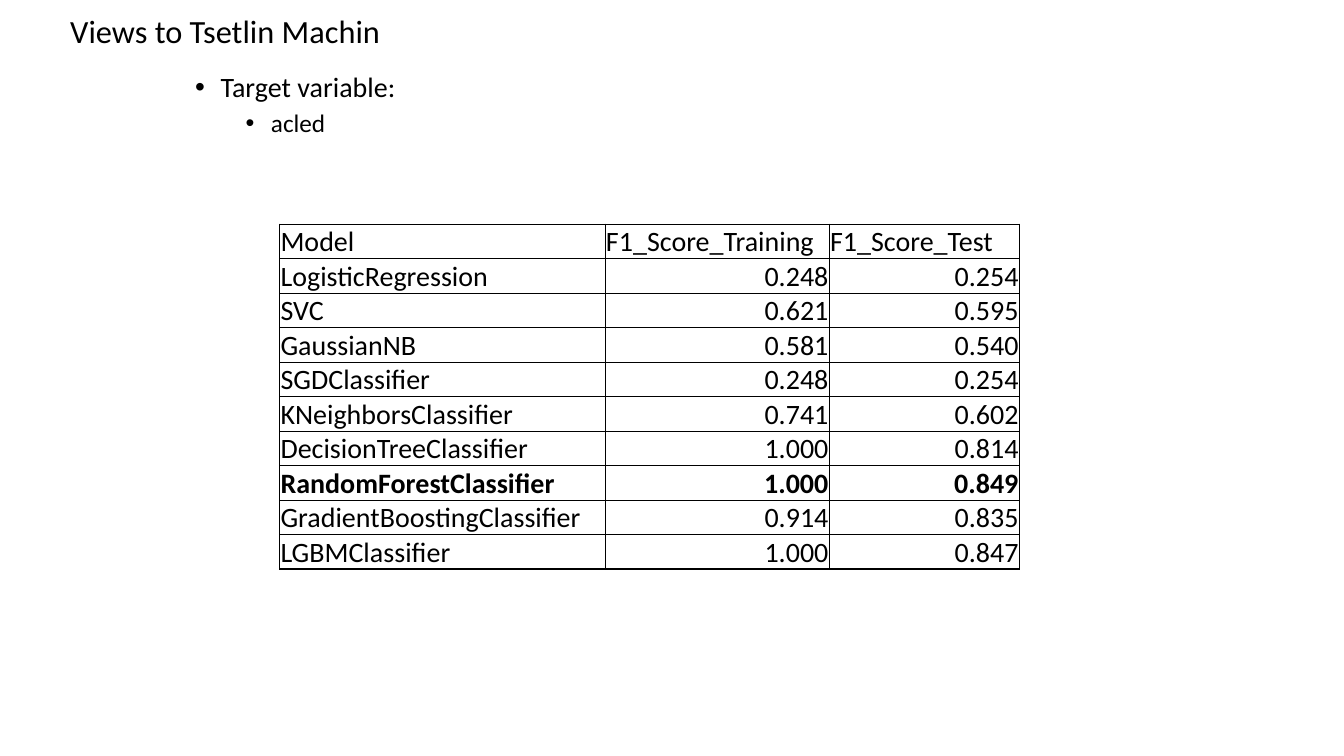
from dataclasses import dataclass

from lxml import etree
from pptx import Presentation
from pptx.dml.color import RGBColor
from pptx.enum.text import MSO_ANCHOR, PP_ALIGN
from pptx.oxml.ns import qn
from pptx.util import Cm, Pt

MIDDLE, BOTTOM = MSO_ANCHOR.MIDDLE, MSO_ANCHOR.BOTTOM
LEFT, RIGHT = PP_ALIGN.LEFT, PP_ALIGN.RIGHT


@dataclass(frozen=True)
class Theme:
    font: str = "Calibri"
    bullet_font: str = "Arial"
    ink: str = "000000"
    title: float = 23.1
    body: float = 20
    detail: float = 18
    border: float = 1


THEME = Theme()

TITLE = "Views to Tsetlin Machin"
BULLETS = [("Target variable:", 1, THEME.body), ("acled", 2, THEME.detail)]
HEADER = ("Model", "F1_Score_Training", "F1_Score_Test")
SCORES = [
    ("LogisticRegression", "0.248", "0.254"),
    ("SVC", "0.621", "0.595"),
    ("GaussianNB", "0.581", "0.540"),
    ("SGDClassifier", "0.248", "0.254"),
    ("KNeighborsClassifier", "0.741", "0.602"),
    ("DecisionTreeClassifier", "1.000", "0.814"),
    ("RandomForestClassifier", "1.000", "0.849"),
    ("GradientBoostingClassifier", "0.914", "0.835"),
    ("LGBMClassifier", "1.000", "0.847"),
]
BEST_MODEL = "RandomForestClassifier"


def add_span(para, text, size, bold=False):
    span = para.add_run()
    span.text = text
    span.font.name = THEME.font
    span.font.size = Pt(size)
    span.font.bold = bold
    span.font.color.rgb = RGBColor.from_string(THEME.ink)


def add_text_frame(page, box):
    frame = page.shapes.add_textbox(*box).text_frame
    frame.word_wrap = True
    return frame


def add_title(page, box):
    frame = add_text_frame(page, box)
    frame.vertical_anchor = MIDDLE
    para = frame.paragraphs[0]
    para.line_spacing = 0.7
    add_span(para, TITLE, THEME.title)


def set_bullet(para, level):
    para.level = level
    properties = para._p.get_or_add_pPr()
    properties.set("marL", str(Cm(1.91 + 1.27 * (level - 1) + 1.27)))
    properties.set("indent", str(Cm(-0.64)))
    etree.SubElement(properties, qn("a:buFont"), typeface=THEME.bullet_font)
    etree.SubElement(properties, qn("a:buChar"), char="•")


def add_bullets(page, box):
    frame = add_text_frame(page, box)
    for index, (text, level, size) in enumerate(BULLETS):
        para = frame.add_paragraph() if index else frame.paragraphs[0]
        set_bullet(para, level)
        para.line_spacing = 0.9
        para.space_before = Pt(5 if index else 0)
        add_span(para, text, size)


def set_borders(cell):
    properties = cell._tc.get_or_add_tcPr()
    for side in ("lnL", "lnR", "lnT", "lnB"):
        line = etree.SubElement(properties, qn(f"a:{side}"), w=str(Pt(THEME.border)))
        fill = etree.SubElement(line, qn("a:solidFill"))
        etree.SubElement(fill, qn("a:srgbClr"), val=THEME.ink)


def fill_cell(cell, text, align, bold):
    set_borders(cell)
    cell.fill.background()
    cell.margin_left = cell.margin_right = cell.margin_top = Cm(0.02)
    cell.margin_bottom = 0
    cell.vertical_anchor = BOTTOM
    para = cell.text_frame.paragraphs[0]
    para.alignment = align
    add_span(para, text, THEME.body, bold)


def add_score_table(page, box):
    left, top, width, height = box
    rows = [HEADER, *SCORES]
    table = page.shapes.add_table(len(rows), len(HEADER), *box).table
    table.first_row = table.horz_banding = False
    for column, share in zip(table.columns, (0.44, 0.303, 0.257)):
        column.width = int(width * share)
    for row_index, row in enumerate(rows):
        table.rows[row_index].height = height // len(rows)
        for column_index, text in enumerate(row):
            align = RIGHT if row_index and column_index else LEFT
            fill_cell(table.cell(row_index, column_index), text, align,
                      row[0] == BEST_MODEL)


def build_score_slide(deck):
    page = deck.slides.add_slide(deck.slide_layouts[6])
    add_title(page, (Cm(1.52), Cm(0.38), Cm(30.84), Cm(1.04)))
    add_bullets(page, (Cm(2.13), Cm(1.73), Cm(29.21), Cm(17.09)))
    add_score_table(page, (Cm(7.05), Cm(5.65), Cm(18.64), Cm(8.69)))


def main():
    deck = Presentation()
    deck.slide_width, deck.slide_height = Cm(33.87), Cm(19.05)
    build_score_slide(deck)
    deck.save("out.pptx")


if __name__ == "__main__":
    main()
